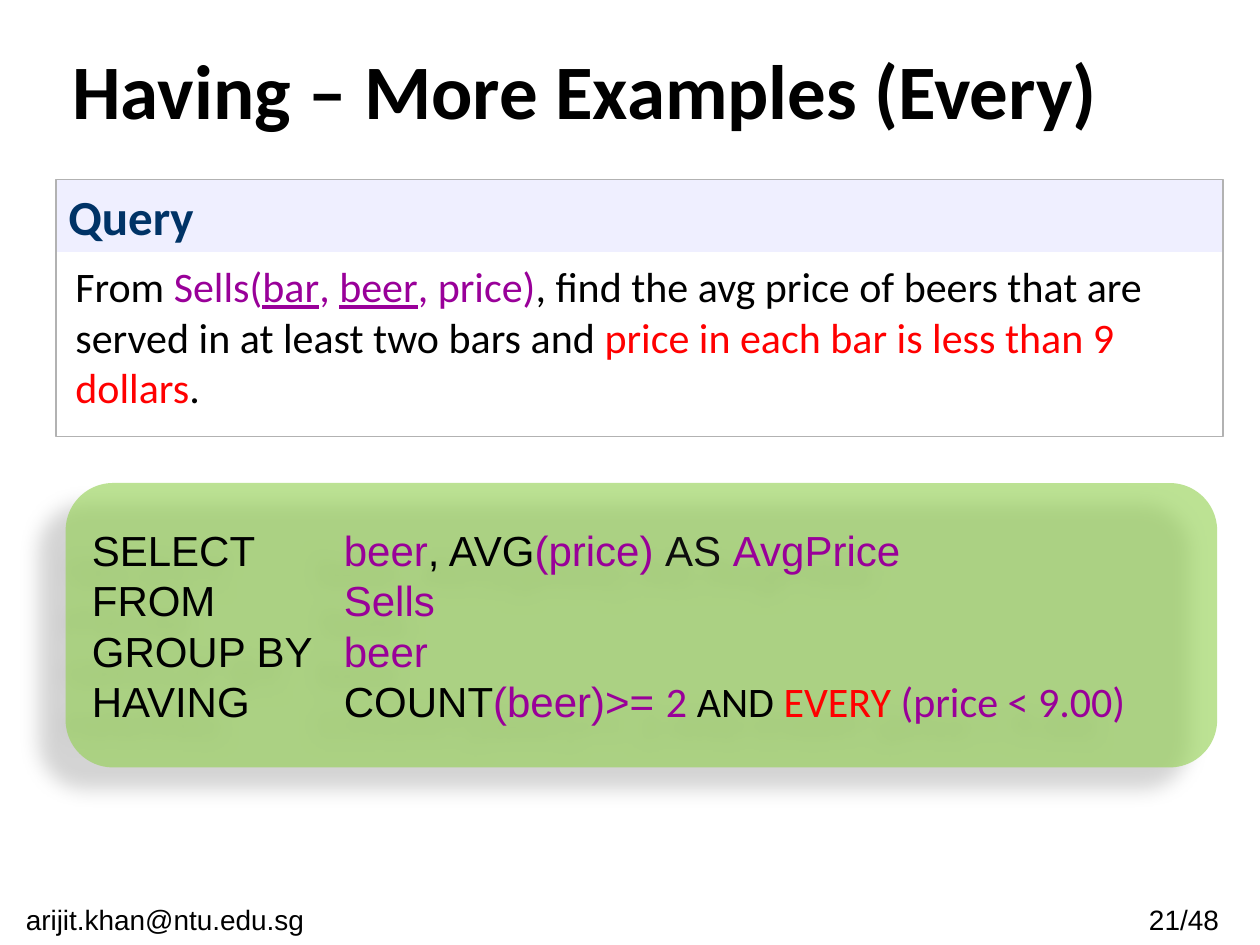
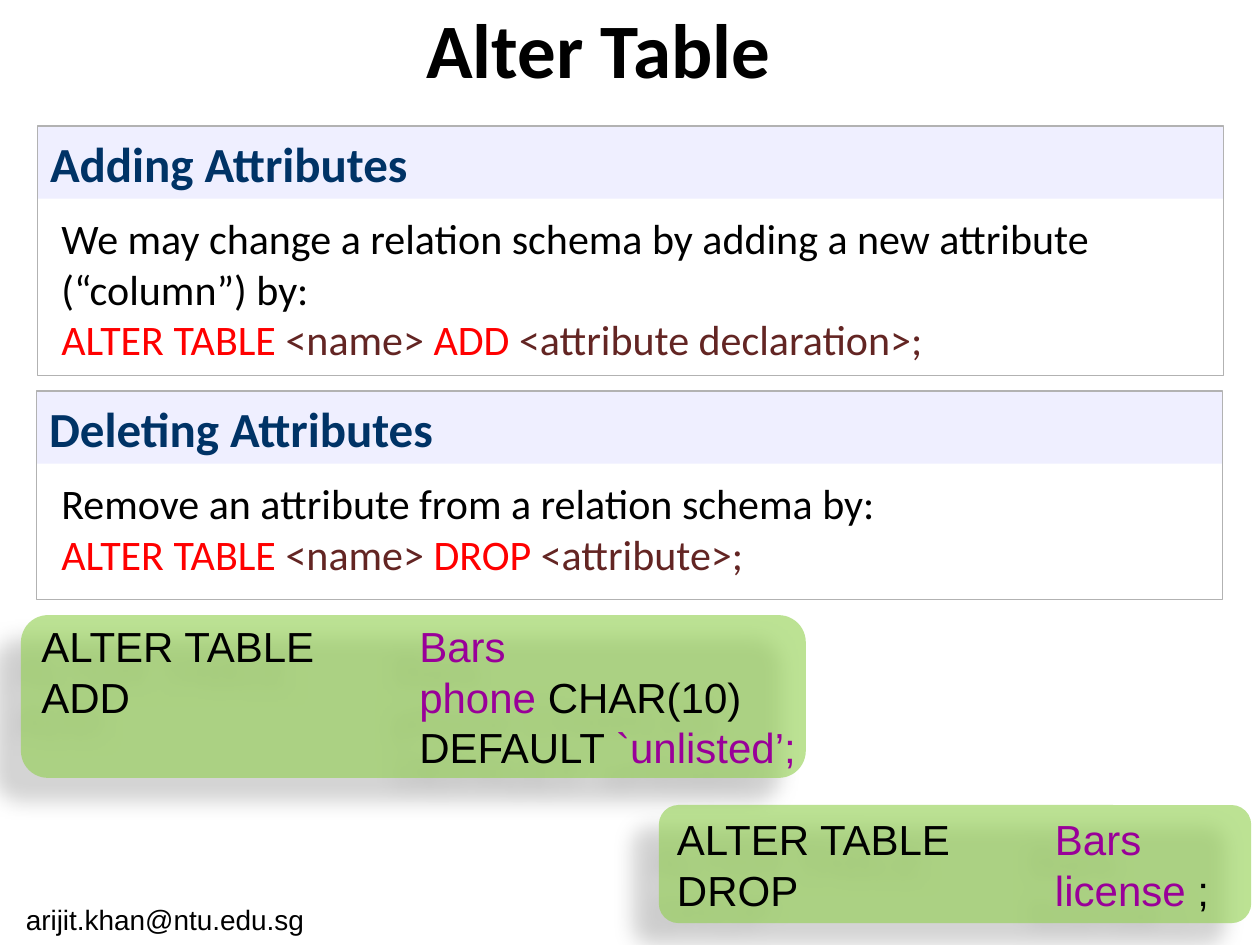
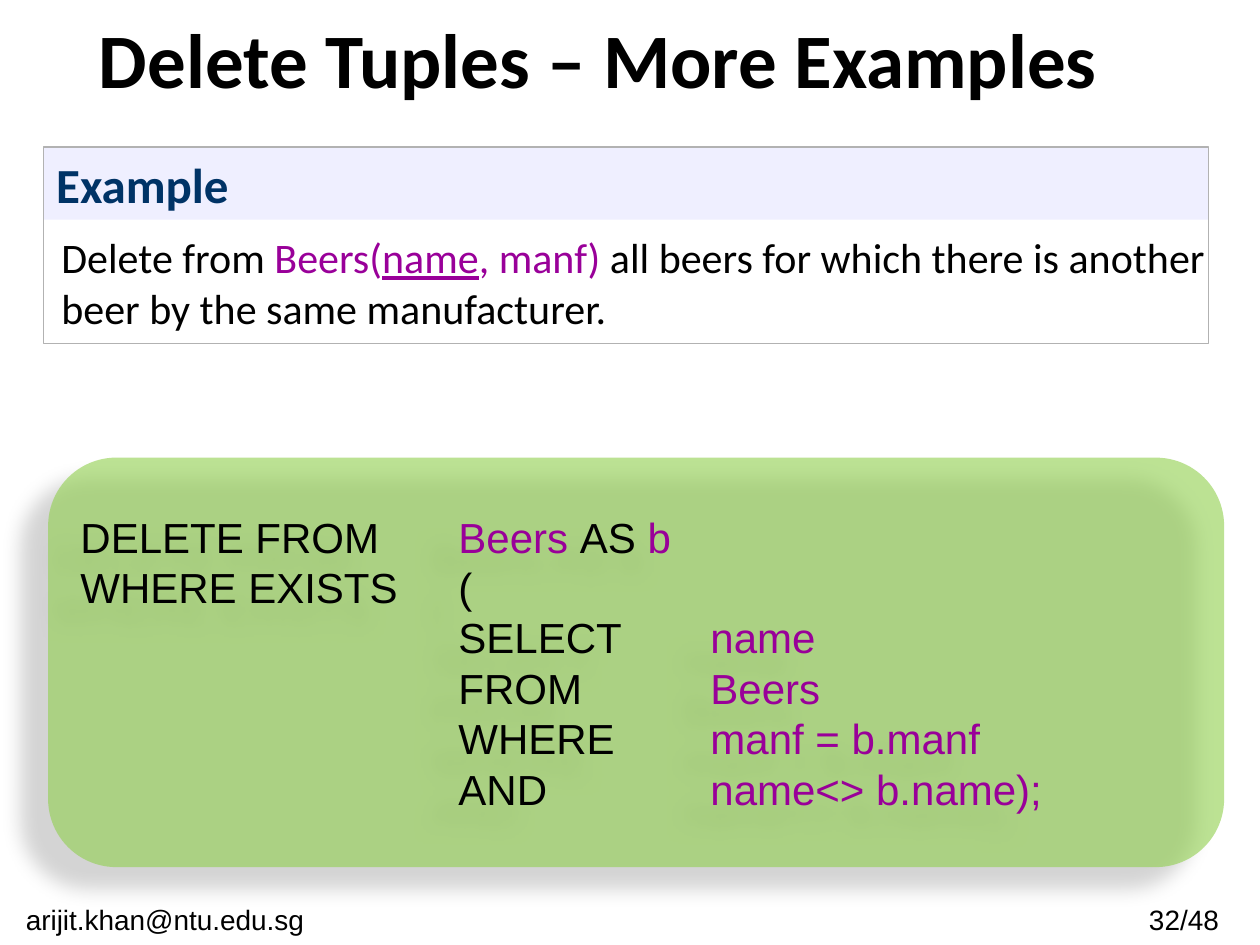
from lxml import etree
from pptx import Presentation
from pptx.dml.color import RGBColor
from pptx.enum import shapes as s, text as t
from pptx.oxml import ns
from pptx.util import Pt

BLACK = RGBColor(0x00, 0x00, 0x00)
NAVY = RGBColor(0x00, 0x33, 0x66)
PURPLE = RGBColor(0x99, 0x00, 0x99)
RED = RGBColor(0xFF, 0x00, 0x00)
BROWN = RGBColor(0x63, 0x25, 0x23)
CHARCOAL = RGBColor(0x0D, 0x0D, 0x0D)
LAVENDER = RGBColor(0xEF, 0xEF, 0xFF)
GREY = RGBColor(0xB2, 0xB2, 0xB2)
GREEN = RGBColor(0x92, 0xD0, 0x50)

BODY_FONT, CODE_FONT = "Calibri", "Arial"
UNDERLINED = {"underline": True}
IN_BODY_FONT = {"name": BODY_FONT}
HEADING_HEIGHT = 41
BODY_RIGHT = 700
CODE_TRANSPARENCY = 61000  # opacity in thousandths of a percent
SHADOW = f"""<a:effectLst xmlns:a="{ns.nsdecls('a').split('"')[1]}">
  <a:outerShdw blurRad="{Pt(11.8)}" dist="{Pt(19.7)}" dir="{141 * 60000}" algn="ctr" rotWithShape="0">
    <a:srgbClr val="000000"><a:alpha val="28000"/></a:srgbClr>
  </a:outerShdw>
</a:effectLst>"""

# Boxes are (left, top, width, height); a paragraph is a list of
# (text, colour) runs, with an optional dict of further font settings.
SLIDES = [
    {
        "title": ("Having – More Examples (Every)", (24, 12, 621, 78)),
        "page": "21/48 ",
        "panels": [
            ("Query", (32, 102.5, 667, 147), (36, 145.5), [
                [("From ", BLACK), ("Sells(", PURPLE), ("bar", PURPLE, UNDERLINED),
                 (", ", PURPLE), ("beer", PURPLE, UNDERLINED), (", price)", PURPLE),
                 (", find the avg price of beers that are served in at least two bars and ", BLACK),
                 ("price in each bar is less than 9 dollars", RED), (".", BLACK)],
            ]),
        ],
        "statements": [
            ((37.5, 276, 658, 162.5), [144], [
                [("SELECT\t", BLACK), ("beer", PURPLE), (", AVG", BLACK), ("(price) ", PURPLE),
                 ("AS ", CHARCOAL), ("AvgPrice", PURPLE)],
                [("FROM\t", BLACK), ("Sells", PURPLE)],
                [("GROUP BY\t", BLACK), ("beer", PURPLE)],
                [("HAVING\tCOUNT", BLACK), ("(beer)>= ", PURPLE), ("2 ", PURPLE, IN_BODY_FONT),
                 ("AND", BLACK, IN_BODY_FONT), (" EVERY", RED, IN_BODY_FONT),
                 (" (price < 9.00)", PURPLE, IN_BODY_FONT)],
            ]),
        ],
    },
    {
        "title": ("Alter Table", (18, 0, 648, 54)),
        "page": None,
        "panels": [
            ("Adding Attributes", (21.5, 72, 677.5, 142.5), (28, 118), [
                [("We may change a relation schema by adding a new attribute (“column”) by:", BLACK)],
                [("ALTER TABLE ", RED), ("<name> ", BROWN), ("ADD ", RED),
                 ("<attribute declaration>;", BROWN)],
            ]),
            ("Deleting Attributes", (21, 223.5, 677.5, 119), (28, 269.5), [
                [("Remove an attribute from a relation schema by:", BLACK)],
                [("ALTER TABLE ", RED), ("<name> ", BROWN), ("DROP ", RED), ("<attribute>;", BROWN)],
            ]),
        ],
        "statements": [
            ((12, 351.5, 448.5, 93), [216], [
                [("ALTER TABLE\t", BLACK), ("Bars", PURPLE)],
                [("ADD\t", BLACK), ("phone ", PURPLE), ("CHAR(10)", BLACK)],
                [("\tDEFAULT ", BLACK), ("`unlisted’;", PURPLE)],
            ]),
            ((376.5, 460, 338.5, 67.5), [216], [
                [("ALTER TABLE\t", BLACK), ("Bars", PURPLE)],
                [("DROP\t", BLACK), ("license ", PURPLE), (";", BLACK)],
            ]),
        ],
    },
    {
        "title": ("Delete Tuples – More Examples", (18, 6, 648, 54)),
        "page": "32/48 ",
        "panels": [
            ("Example", (25, 84, 665.5, 112.5), (28, 129), [
                [("Delete from ", BLACK), ("Beers(", PURPLE), ("name", PURPLE, UNDERLINED),
                 (", manf)", PURPLE),
                 (" all beers for which there is another beer by the same manufacturer.", BLACK)],
            ]),
        ],
        "statements": [
            ((27.5, 261.5, 672, 234), [216, 360], [
                [("DELETE FROM\t", BLACK), ("Beers ", PURPLE), ("AS ", BLACK), ("b", PURPLE)],
                [("WHERE EXISTS\t(", BLACK)],
                [("\tSELECT\t", BLACK), ("name", PURPLE)],
                [("\tFROM\t", BLACK), ("Beers", PURPLE)],
                [("\tWHERE\t", BLACK), ("manf = b.manf", PURPLE)],
                [("\tAND\t", BLACK), ("name<> b.name);", PURPLE)],
            ]),
        ],
    },
]


def write(shape, paragraphs, size=24, font=BODY_FONT, bold=False, align=t.PP_ALIGN.LEFT,
          anchor=t.MSO_ANCHOR.TOP, wrap=True, tabs=()):
    """Fill the shape with paragraphs of runs; tabs are stop positions in points."""
    frame = shape.text_frame
    frame.word_wrap = wrap
    frame.vertical_anchor = anchor
    for index, runs in enumerate(paragraphs):
        paragraph = frame.add_paragraph() if index else frame.paragraphs[0]
        paragraph.alignment = align
        if tabs:
            stops = etree.SubElement(paragraph._p.get_or_add_pPr(), ns.qn("a:tabLst"))
            for stop in tabs:
                etree.SubElement(stops, ns.qn("a:tab"), pos=str(Pt(stop)), algn="l")
        for content, colour, *extras in runs:
            run = paragraph.add_run()
            run.text = content
            run.font.size, run.font.name, run.font.bold = Pt(size), font, bold
            run.font.color.rgb = colour
            for settings in extras:
                for key, value in settings.items():
                    setattr(run.font, key, value)


def add_box(slide, kind, box, fill=None, line=None):
    shape = slide.shapes.add_shape(kind, *map(Pt, box))
    shape.shadow.inherit = False
    if fill is None:
        shape.fill.background()
    else:
        shape.fill.solid()
        shape.fill.fore_color.rgb = fill
    if line is None:
        shape.line.fill.background()
    else:
        shape.line.color.rgb = line
        shape.line.width = Pt(0.75)
    return shape


deck = Presentation()
deck.slide_width, deck.slide_height = Pt(720), Pt(540)

for content in SLIDES:
    slide = deck.slides.add_slide(deck.slide_layouts[6])

    title, title_box = content["title"]
    write(slide.shapes.add_textbox(*map(Pt, title_box)), [[(title, BLACK)]], size=44, bold=True,
          align=t.PP_ALIGN.CENTER, anchor=t.MSO_ANCHOR.MIDDLE)

    footers = [("arijit.khan@ntu.edu.sg ", 0, 193), (content["page"], 637, 83.5)]
    for footer, left, width in footers:
        if footer:
            write(slide.shapes.add_textbox(Pt(left), Pt(512), Pt(width), Pt(28)),
                  [[(footer, BLACK)]], size=16, font=CODE_FONT, align=t.PP_ALIGN.CENTER)

    for heading, (left, top, width, height), (body_left, body_top), body in content["panels"]:
        band = add_box(slide, s.MSO_SHAPE.RECTANGLE, (left, top + 0.5, width, HEADING_HEIGHT),
                       fill=LAVENDER)
        write(band, [[(heading, NAVY)]], size=28, bold=True)
        add_box(slide, s.MSO_SHAPE.RECTANGLE, (left, top, width, height), line=GREY)
        body_box = (body_left, body_top, BODY_RIGHT - body_left, top + height - body_top)
        write(slide.shapes.add_textbox(*map(Pt, body_box)), body)

    for box, tabs, code in content["statements"]:
        card = add_box(slide, s.MSO_SHAPE.ROUNDED_RECTANGLE, box, fill=GREEN)
        properties = card._element.spPr
        colour = properties.find(ns.qn("a:solidFill")).find(ns.qn("a:srgbClr"))
        etree.SubElement(colour, ns.qn("a:alpha"), val=str(CODE_TRANSPARENCY))
        properties.replace(properties.find(ns.qn("a:effectLst")), etree.fromstring(SHADOW))
        write(card, code, font=CODE_FONT, anchor=t.MSO_ANCHOR.MIDDLE, wrap=False, tabs=tabs)

deck.save("out.pptx")
